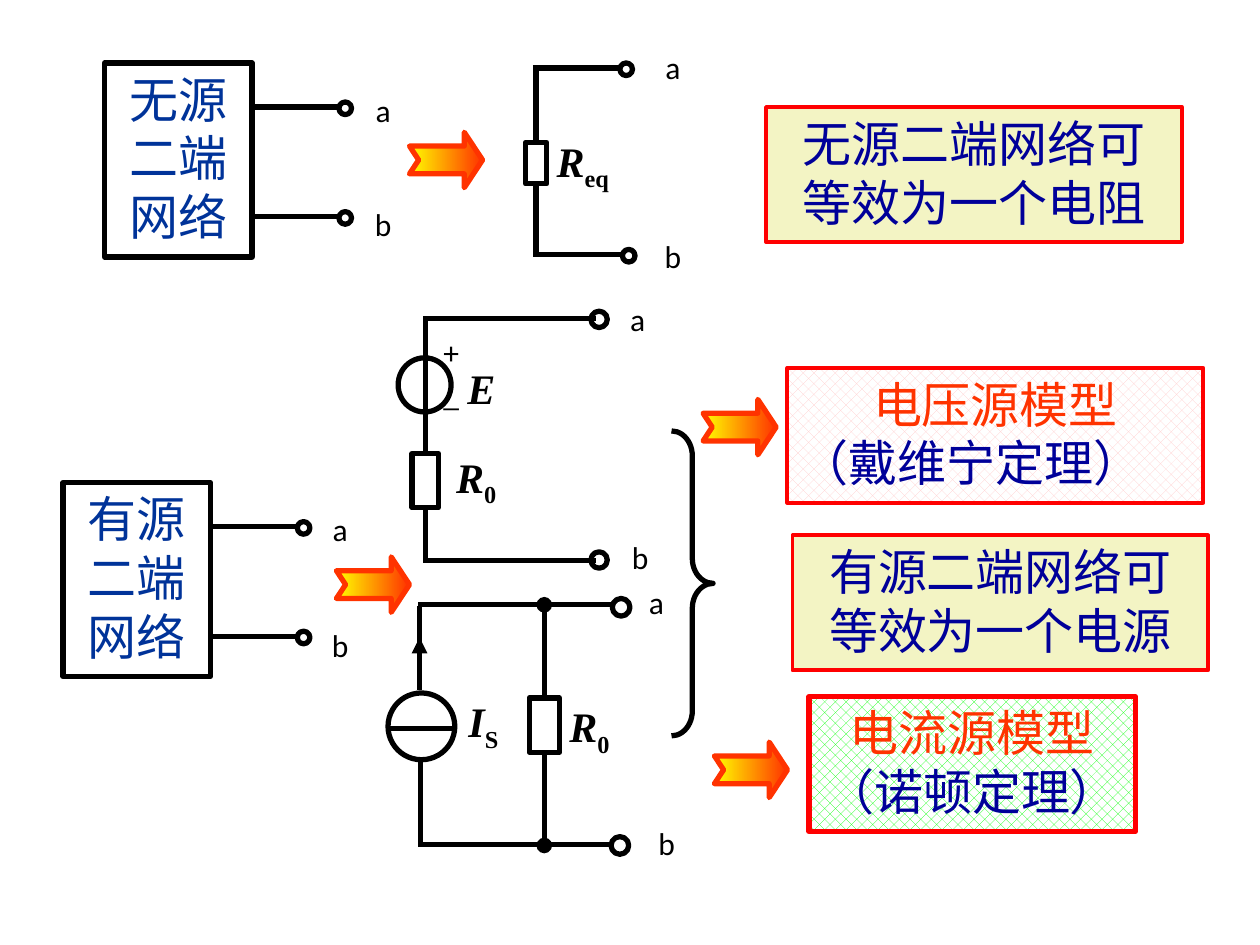
from lxml import etree
from pptx import Presentation
from pptx.dml.color import RGBColor
from pptx.enum.dml import MSO_PATTERN
from pptx.enum.shapes import MSO_CONNECTOR, MSO_SHAPE as SHAPE
from pptx.enum.text import MSO_ANCHOR, PP_ALIGN
from pptx.oxml.ns import qn
from pptx.util import Inches, Pt

rgb = RGBColor.from_string
BLACK, RED, ORANGE, NAVY, BLUE = "000000", "FF0000", "FF3300", "000099", "003399"
CREAM, WHITE = "F3F4C4", "FFFFFF"

prs = Presentation()
prs.slide_width, prs.slide_height = Inches(10), Inches(7.5)
s = prs.slides.add_slide(prs.slide_layouts[6])


def outline(kind, x, y, w, h, color=BLACK, width=3):
    """Add an unfilled preset shape with a coloured outline."""
    sp = s.shapes.add_shape(kind, Inches(x), Inches(y), Inches(w), Inches(h))
    sp.shadow.inherit = False
    sp.fill.background()
    sp.line.color.rgb = rgb(color)
    sp.line.width = Pt(width)
    return sp


def wire(x1, y1, x2, y2, end=None, start=None):
    """Add a wire; end is its end mark, start a (shape, site) to join."""
    c = s.shapes.add_connector(MSO_CONNECTOR.STRAIGHT, Inches(x1), Inches(y1),
                               Inches(x2), Inches(y2))
    c.line.color.rgb = rgb(BLACK)
    c.line.width = Pt(3)
    if end:
        etree.SubElement(c.line._get_or_add_ln(), qn("a:tailEnd"), type=end)
    etree.SubElement(c._element.spPr, qn("a:effectLst"))
    if start:
        c.begin_connect(*start)


# Two-terminal networks: box, two wires and their terminals
for x, y, name in [(0.83, 0.5, "无源二端网络"), (0.5, 3.83, "有源二端网络")]:
    sp = outline(SHAPE.RECTANGLE, x, y, 1.17, 1.54)
    tf = sp.text_frame
    tf.text = name
    tf.vertical_anchor = MSO_ANCHOR.TOP
    p = tf.paragraphs[0]
    p.alignment = PP_ALIGN.CENTER
    p.font.name, p.font.size = "Calibri", Pt(28)
    p.font.color.rgb = rgb(BLUE)
    for dy in (0.35, 1.22):
        wire(x + 1.17, y + dy, x + 1.88, y + dy)
        outline(SHAPE.OVAL, x + 1.86, y + dy - 0.04, 0.1, 0.1)

# Resistors with the wires above and below them
for x, y, w, h, top, bottom, mark in [
    (4.17, 1.13, 0.17, 0.33, 0.54, 2.04, None),
    (3.27, 3.6, 0.21, 0.43, 2.52, 4.46, None),
    (4.2, 5.54, 0.24, 0.43, 4.8, 6.71, "oval"),
]:
    sp = outline(SHAPE.RECTANGLE, x, y, w, h)
    wire(x + w / 2, y, x + w / 2, top, mark, (sp, 0))
    wire(x + w / 2, y + h, x + w / 2, bottom, mark, (sp, 2))

# Horizontal rails
for x1, x2, y in [(4.23, 4.94, 0.54), (4.25, 4.96, 2.02), (3.36, 4.73, 2.53),
                  (3.36, 4.73, 4.45), (3.32, 4.85, 4.8), (3.32, 4.85, 6.7)]:
    wire(x1, y, x2, y)

# Output terminals
for x, y, d in [(4.92, 0.5, 0.1), (4.94, 1.98, 0.1), (4.69, 2.47, 0.13),
                (4.69, 4.38, 0.13), (4.86, 4.75, 0.14), (4.85, 6.64, 0.14)]:
    outline(SHAPE.OVAL, x, y, d, d)

# Voltage source and current source
outline(SHAPE.OVAL, 3.16, 2.84, 0.42, 0.43)
outline(SHAPE.OVAL, 3.08, 5.5, 0.53, 0.53)
wire(3.08, 5.78, 3.61, 5.78)
wire(3.33, 5.48, 3.33, 4.81)
wire(3.33, 5.31, 3.33, 5.06, "triangle")
wire(3.34, 6.05, 3.34, 6.7)

# Terminal letters, polarity signs and component symbols
terminals = [(x, y, 0.38, 0.5, name, "") for x, y, name in [
    (5.15, 0.28, "a"), (5.15, 1.78, "b"), (2.85, 0.62, "a"), (2.85, 1.53, "b"),
    (4.87, 2.28, "a"), (4.89, 4.17, "b"), (2.51, 3.95, "a"), (2.51, 4.87, "b"),
    (5.02, 4.53, "a"), (5.1, 6.44, "b")]]
polarity = [(3.37, 2.49, 0.42, 0.94, "+\n_", "")]
symbols = [(4.3, 1.05, 0.65, 0.5, "R", "eq"), (3.41, 2.83, 0.82, 0.5, "E", ""),
           (3.37, 3.56, 0.82, 0.5, "R", "0"), (3.62, 5.5, 0.67, 0.5, "I", "S"),
           (4.42, 5.54, 0.78, 0.5, "R", "0")]
for x, y, w, h, name, sub in terminals + polarity + symbols:
    is_symbol = name in ("R", "E", "I")
    tf = s.shapes.add_textbox(Inches(x), Inches(y), Inches(w), Inches(h)).text_frame
    tf.text = name
    tf.word_wrap = is_symbol
    tf.vertical_anchor = MSO_ANCHOR.MIDDLE
    if sub:
        r = tf.paragraphs[0].add_run()
        r.text = sub
    for i, p in enumerate(tf.paragraphs):
        p.alignment = PP_ALIGN.LEFT if is_symbol and y > 5 else PP_ALIGN.CENTER
        if i:
            p.space_before = Pt(2)
        for j, r in enumerate(p.runs):
            r.font.name = "Times New Roman" if is_symbol else "Calibri"
            r.font.size = Pt(24 if is_symbol else 18)
            r.font.color.rgb = rgb(BLACK)
            r.font.bold = is_symbol
            r.font.italic = is_symbol and j == 0
            if j:
                r.font._element.set("baseline", "-25000")

# Brace joining the two source models
sp = outline(SHAPE.RIGHT_BRACE, 5.33, 3.42, 0.33, 2.42)
sp.adjustments[0] = 0.6

# Gradient arrows
for x, y in [(3.25, 1.05), (2.67, 4.42), (5.58, 3.17), (5.67, 5.89)]:
    sp = outline(SHAPE.NOTCHED_RIGHT_ARROW, x, y, 0.58, 0.44, ORANGE)
    sp.adjustments[0], sp.adjustments[1] = 0.5, 0.33
    sp.fill.gradient()
    sp.fill.gradient_angle = 0
    for stop, color in zip(sp.fill.gradient_stops, ("FFFF00", ORANGE)):
        stop.color.rgb = rgb(color)

# Conclusions: each line has its text, colour and alignment
CENTER, LEFT = PP_ALIGN.CENTER, PP_ALIGN.LEFT
for x, y, w, width, pattern, lines in [
    (6.08, 0.85, 3.3, 2.25, None, [("无源二端网络可等效为一个电阻", NAVY, CENTER)]),
    (6.25, 2.92, 3.3, 2.25, "FFCCCC",
     [("电压源模型", ORANGE, CENTER), ("（戴维宁定理）", NAVY, LEFT)]),
    (6.29, 4.25, 3.3, 2.25, None, [("有源二端网络可等效为一个电源", NAVY, CENTER)]),
    (6.42, 5.53, 2.59, 3, "00FF00",
     [("电流源模型", ORANGE, CENTER), ("（诺顿定理）", NAVY, CENTER)]),
]:
    sp = outline(SHAPE.RECTANGLE, x, y, w, 1.07, RED, width)
    if pattern:
        sp.fill.patterned()
        sp.fill.pattern = MSO_PATTERN.from_xml("pct40")
        sp.fill.fore_color.rgb = rgb(pattern)
        sp.fill.back_color.rgb = rgb(WHITE)
    else:
        sp.fill.solid()
        sp.fill.fore_color.rgb = rgb(CREAM)
    tf = sp.text_frame
    tf.text = "\n".join(text for text, _, _ in lines)
    tf.word_wrap = w > 3
    tf.vertical_anchor = MSO_ANCHOR.TOP
    for p, (_, color, align) in zip(tf.paragraphs, lines):
        p.alignment = align
        p.font.name, p.font.size = "Calibri", Pt(28)
        p.font.color.rgb = rgb(color)

prs.save("out.pptx")
